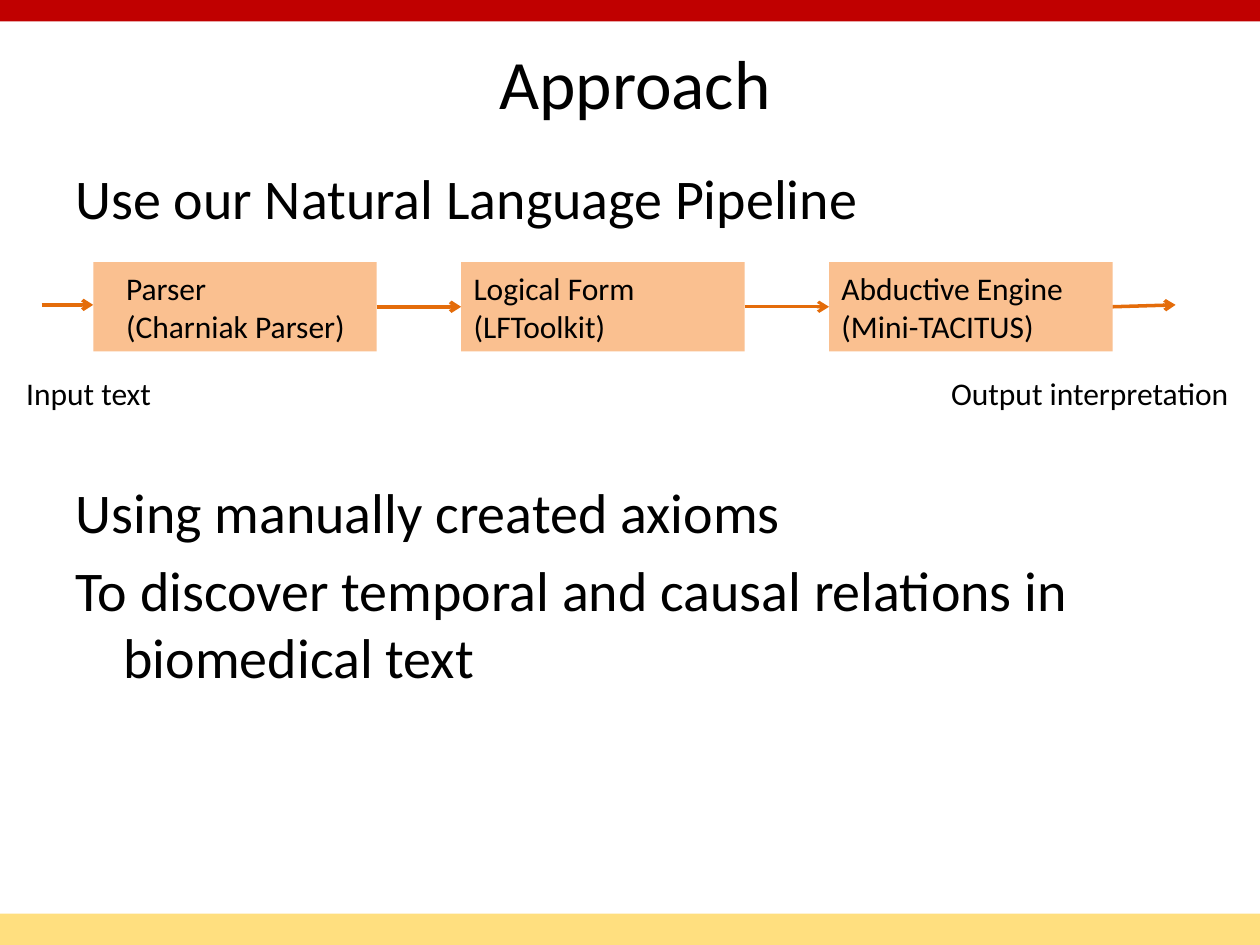
from lxml.etree import SubElement
from pptx import Presentation
from pptx.dml.color import RGBColor
from pptx.enum.shapes import MSO_CONNECTOR, MSO_SHAPE
from pptx.enum.text import MSO_ANCHOR, MSO_AUTO_SIZE, PP_ALIGN
from pptx.oxml.ns import qn
from pptx.util import Pt

SCALE = 9144


def px(n):
    """Turn px (100 to the inch) into EMU."""
    return int(n * SCALE)


def rgb(code):
    """Turn a hex string into a colour."""
    return RGBColor.from_string(code)


def write(p, text, size=18, color="000000", font="Calibri", align=PP_ALIGN.LEFT, before=0):
    """Put formatted text into a paragraph."""
    p.alignment = align
    p.space_before = Pt(before)
    r = p.add_run()
    r.text = text
    r.font.name = font
    r.font.size = Pt(size)
    r.font.color.rgb = rgb(color)


class Deck:
    """Hold the style and the current slide."""

    RED, GOLD, PEACH, ORANGE = "C00000", "FFC000", "FAC090", "E46C0A"
    INDENT = 38

    def __init__(self):
        """Start a presentation with one title and content slide."""
        self.prs = Presentation()
        self.prs.slide_width, self.prs.slide_height = px(1000), px(750)
        self.s = self.prs.slides.add_slide(self.prs.slide_layouts[1])

    def place(self, sp, x, y, w, h):
        """Move and size a shape."""
        sp.left, sp.top, sp.width, sp.height = map(px, (x, y, w, h))

    def rect(self, x, y, w, h, fill, opacity=100):
        """Add a plain filled rectangle."""
        sp = self.s.shapes.add_shape(MSO_SHAPE.RECTANGLE, px(x), px(y), px(w), px(h))
        sp.shadow.inherit = False
        sp.fill.solid()
        sp.fill.fore_color.rgb = rgb(fill)
        sp.line.fill.background()
        if opacity < 100:
            clr = sp.element.spPr.find(qn("a:solidFill")).find(qn("a:srgbClr"))
            SubElement(clr, qn("a:alpha"), val=str(opacity * 1000))
        return sp

    def title(self, text, x, y, w, h):
        """Fill the title placeholder."""
        sp = self.s.shapes.title
        self.place(sp, x, y, w, h)
        tf = sp.text_frame
        tf.auto_size = MSO_AUTO_SIZE.NONE
        tf.vertical_anchor = MSO_ANCHOR.MIDDLE
        write(tf.paragraphs[0], text, size=39.6, align=PP_ALIGN.CENTER)

    def body(self, items, x, y, w, h):
        """Fill the body placeholder with (text, space before) items."""
        sp = self.s.placeholders[1]
        self.place(sp, x, y, w, h)
        tf = sp.text_frame
        tf.auto_size = MSO_AUTO_SIZE.NONE
        for i, (text, before) in enumerate(items):
            p = tf.add_paragraph() if i else tf.paragraphs[0]
            write(p, text, size=32, before=before)
            pPr = p._p.get_or_add_pPr()
            pPr.set("marL", str(px(self.INDENT)))
            pPr.set("indent", str(-px(self.INDENT)))
            SubElement(pPr, qn("a:buNone"))

    def stage(self, lines, x, y, w, h, margin=10):
        """Add a pipeline box with one paragraph a line."""
        sp = self.rect(x, y, w, h, self.PEACH)
        tf = sp.text_frame
        tf.word_wrap = True
        tf.auto_size = MSO_AUTO_SIZE.SHAPE_TO_FIT_TEXT
        tf.vertical_anchor = MSO_ANCHOR.MIDDLE
        tf.margin_left = px(margin)
        for i, text in enumerate(lines):
            write(tf.add_paragraph() if i else tf.paragraphs[0], text)
        return sp

    def label(self, text, x, y, w, h):
        """Add a text box."""
        tf = self.s.shapes.add_textbox(px(x), px(y), px(w), px(h)).text_frame
        tf.word_wrap = True
        tf.auto_size = MSO_AUTO_SIZE.SHAPE_TO_FIT_TEXT
        write(tf.paragraphs[0], text)

    def arrow(self, x1=0, y1=0, x2=0, y2=0, begin=None, end=None, width=2):
        """Add an arrow, joined to the right of begin and the left of end."""
        c = self.s.shapes.add_connector(MSO_CONNECTOR.STRAIGHT, px(x1), px(y1), px(x2), px(y2))
        if begin is not None:
            c.begin_connect(begin, 3)
        if end is not None:
            c.end_connect(end, 1)
        c.line.color.rgb = rgb(self.ORANGE)
        c.line.width = Pt(width)
        spPr = c.element.spPr
        SubElement(spPr.find(qn("a:ln")), qn("a:tailEnd"), type="arrow")
        SubElement(spPr, qn("a:effectLst"))


def main():
    """Build the slide."""
    d = Deck()
    d.rect(0, 725, 1000, 25, d.GOLD, opacity=50)
    d.rect(0, 0, 1000, 17, d.RED)
    d.title("Approach", 50, 26, 908, 78)
    d.body([
        ("Use our Natural Language Pipeline", 0),
        ("Using manually created axioms", 141),
        ("To discover temporal and causal relations in biomedical text", 6),
    ], 50, 125, 900, 545)

    stages = [
        (("Parser", "(Charniak Parser)"), 26),
        (("Logical Form", "(LFToolkit)"), 10),
        (("Abductive Engine", "(Mini-TACITUS)"), 10),
    ]
    boxes = [d.stage(lines, 74 + 292 * i, 208, 225, 71, margin)
             for i, (lines, margin) in enumerate(stages)]
    for begin, end, width in zip(boxes, boxes[1:], (2, 1.75)):
        d.arrow(begin=begin, end=end, width=width)
    d.arrow(33, 242, 74, 242)
    d.arrow(x2=933, y2=242, begin=boxes[-1])

    d.label("Input text", 11, 292, 158, 40)
    d.label("Output interpretation", 745, 292, 250, 40)
    d.prs.save("out.pptx")


if __name__ == "__main__":
    main()
